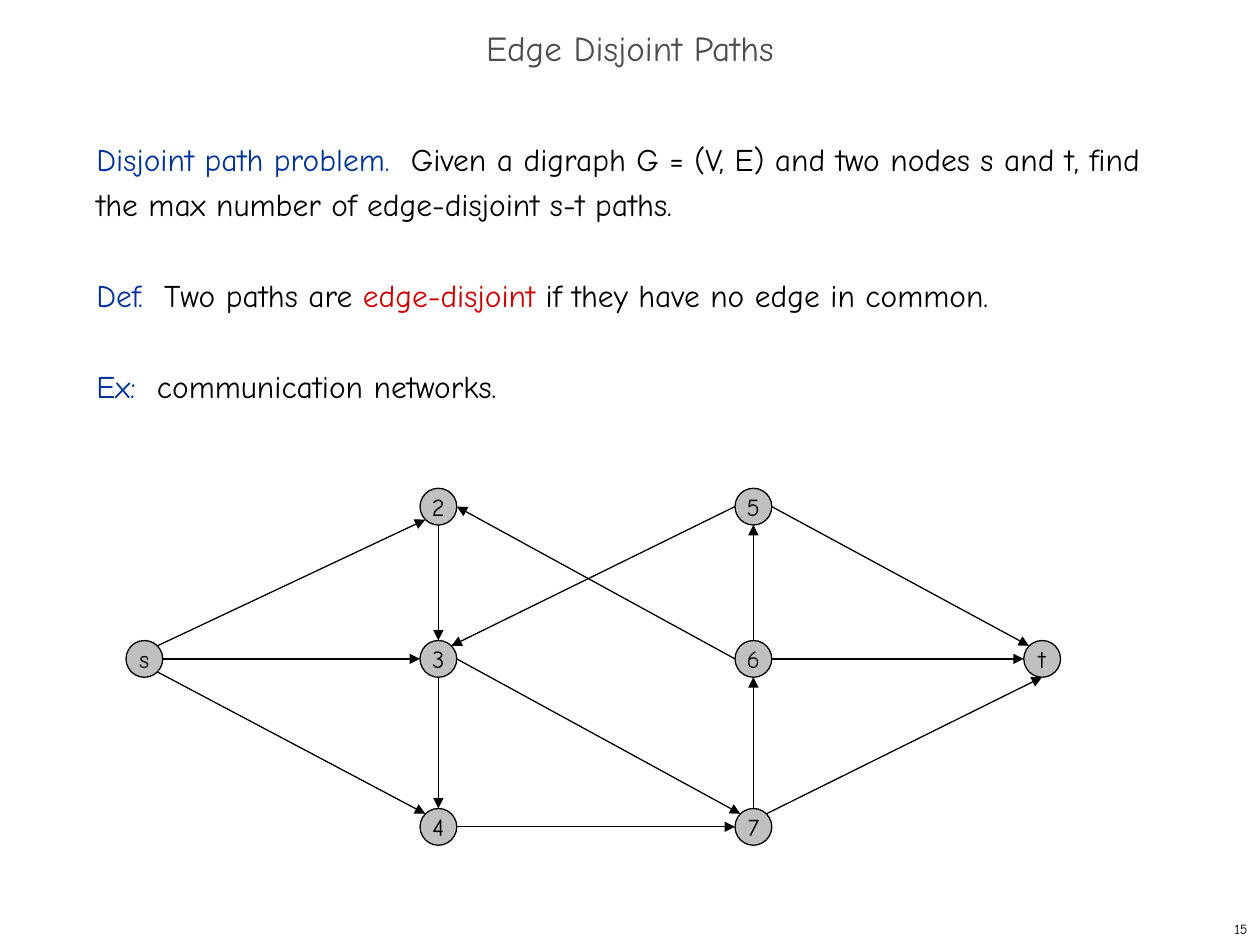
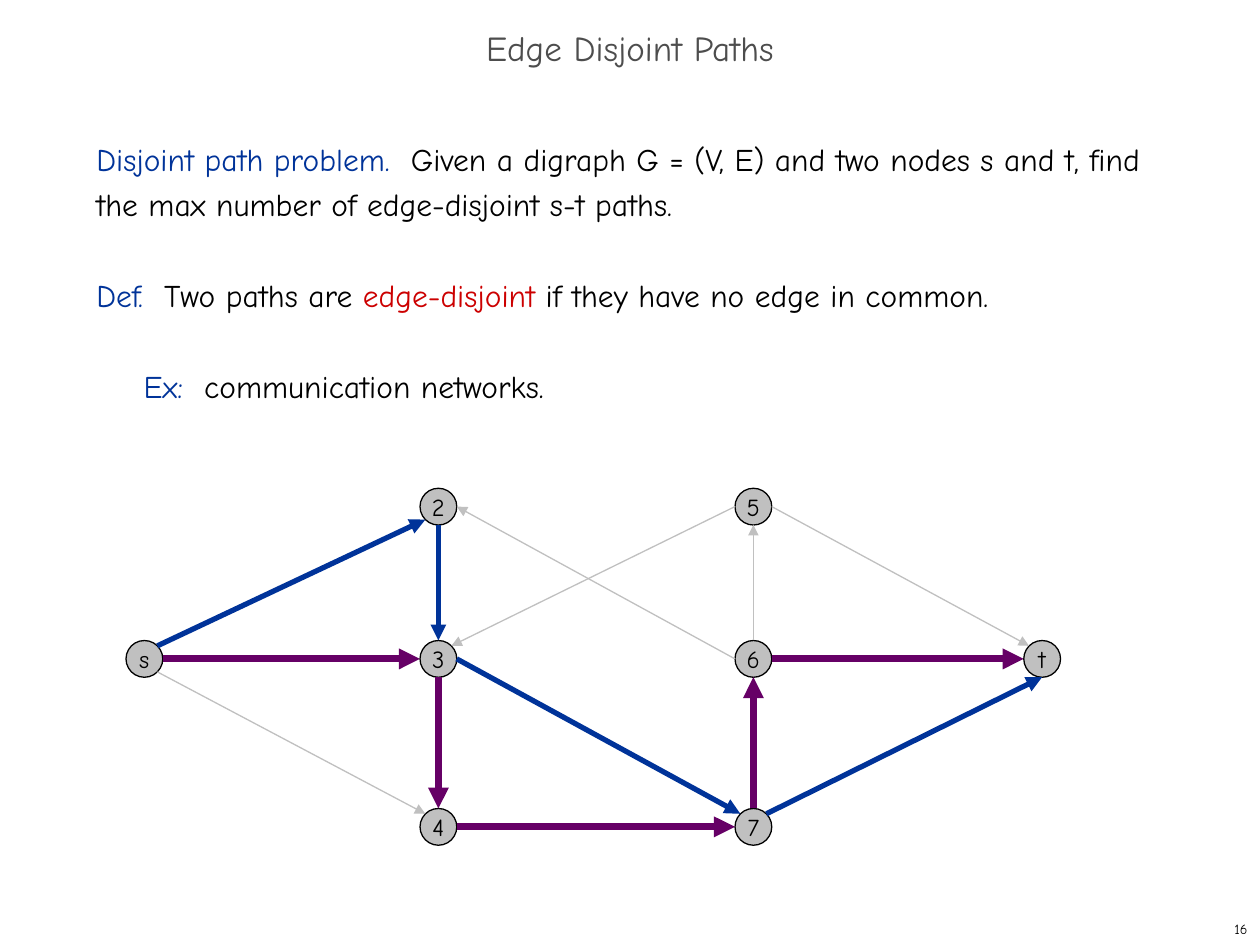
from dataclasses import dataclass

from lxml import etree
from pptx import Presentation
from pptx.dml.color import RGBColor
from pptx.enum.shapes import MSO_CONNECTOR, MSO_SHAPE
from pptx.enum.text import MSO_ANCHOR, PP_ALIGN
from pptx.oxml.ns import qn
from pptx.util import Inches, Pt

OVAL = MSO_SHAPE.OVAL
STRAIGHT = MSO_CONNECTOR.STRAIGHT
TOP, MIDDLE = MSO_ANCHOR.TOP, MSO_ANCHOR.MIDDLE
LEFT, CENTER, RIGHT = PP_ALIGN.LEFT, PP_ALIGN.CENTER, PP_ALIGN.RIGHT


@dataclass(frozen=True)
class Theme:
    font: str = "Comic Neue"
    ink: str = "000000"
    title: str = "4D4D4D"
    blue: str = "003399"
    red: str = "CC0000"
    violet: str = "660066"
    gray: str = "C0C0C0"
    head: int = 20
    body: int = 18
    node: int = 14
    foot: int = 8
    lead: int = 26
    thin: float = 0.75


theme = Theme()
deck = Presentation()
deck.slide_width, deck.slide_height = Inches(10), Inches(7.5)
cell = deck.slide_width // 240


def write(text, *, frame, size, color=theme.ink, align=LEFT, anchor=MIDDLE,
          wrap=False, lead=None, gap=0, indents=()):
    frame.word_wrap = wrap
    frame.vertical_anchor = anchor
    paras = [[(text, color)]] if isinstance(text, str) else text
    for i, runs in enumerate(paras):
        para = frame.add_paragraph() if i else frame.paragraphs[0]
        para.alignment = align
        if lead:
            para.line_spacing = lead
        if i and gap:
            para.space_before = Pt(gap)
        if i < len(indents) and indents[i]:
            para._p.get_or_add_pPr().set("marL", str(indents[i]))
        for words, tint in runs:
            run = para.add_run()
            run.text = words
            run.font.name = theme.font
            run.font.size = Pt(size)
            run.font.color.rgb = RGBColor.from_string(tint)


BODY = [
    [("Disjoint path problem.  ", theme.blue),
     ("Given a digraph G = (V, E) and two nodes s and t, find the max "
      "number of edge-disjoint s-t paths.", theme.ink)],
    [("Def.  ", theme.blue), ("Two paths are ", theme.ink),
     ("edge-disjoint", theme.red),
     (" if they have no edge in common.", theme.ink)],
    [("Ex:  ", theme.blue), ("communication networks.", theme.ink)],
]

SIZE = 7
COLS = [24, 80, 140, 195]
ROWS = [93, 122, 154]
NODES = {
    "s": (0, 1), "2": (1, 0), "3": (1, 1), "4": (1, 2),
    "5": (2, 0), "6": (2, 1), "7": (2, 2), "t": (3, 1),
}
SIDES = {
    "n": (0, -1), "s": (0, 1), "w": (-1, 0), "e": (1, 0),
    "nw": (-0.71, -0.71), "ne": (0.71, -0.71),
    "sw": (-0.71, 0.71), "se": (0.71, 0.71),
}
EDGES = [
    ("s", "ne", "2", "sw"), ("s", "e", "3", "w"), ("s", "se", "4", "nw"),
    ("2", "s", "3", "n"), ("3", "s", "4", "n"), ("3", "e", "7", "nw"),
    ("4", "e", "7", "w"), ("7", "n", "6", "s"), ("6", "n", "5", "s"),
    ("5", "e", "t", "nw"), ("6", "e", "t", "w"), ("7", "ne", "t", "s"),
    ("6", "w", "2", "e"), ("5", "w", "3", "ne"),
]
PATHS = {"s237t": (theme.blue, 3), "s3476t": (theme.violet, 4)}
SLIDES = [
    ("15", (theme.ink, theme.thin), {}, 0),
    ("16", (theme.gray, theme.thin), PATHS, 9 * cell),
]

for page, plain, paths, indent in SLIDES:
    slide = deck.slides.add_slide(deck.slide_layouts[6])
    shapes = slide.shapes

    title = shapes.add_textbox(0, 4 * cell, 240 * cell, 12 * cell)
    write("Edge Disjoint Paths", frame=title.text_frame, size=theme.head,
          color=theme.title, align=CENTER, wrap=True, lead=0.7)

    body = shapes.add_textbox(16 * cell, 24 * cell, 206 * cell, 142 * cell)
    write(BODY, frame=body.text_frame, size=theme.body, anchor=TOP, wrap=True,
          lead=Pt(theme.lead), gap=theme.lead, indents=(0, 0, indent))

    foot = shapes.add_textbox(190 * cell, 174 * cell, 50 * cell, 6 * cell)
    write(page, frame=foot.text_frame, size=theme.foot, align=RIGHT)

    for name, (col, row) in NODES.items():
        node = shapes.add_shape(OVAL, COLS[col] * cell, ROWS[row] * cell,
                                SIZE * cell, SIZE * cell)
        node.shadow.inherit = False
        node.fill.solid()
        node.fill.fore_color.rgb = RGBColor.from_string(theme.gray)
        node.line.color.rgb = RGBColor.from_string(theme.ink)
        node.line.width = Pt(theme.thin)
        write(name, frame=node.text_frame, size=theme.node, align=CENTER)

    for start, out, end, into in EDGES:
        ends = []
        for name, side in ((start, out), (end, into)):
            col, row = NODES[name]
            dx, dy = SIDES[side]
            ends += [round((COLS[col] + SIZE / 2 * (1 + dx)) * cell),
                     round((ROWS[row] + SIZE / 2 * (1 + dy)) * cell)]
        color, width = next(
            (style for path, style in paths.items() if start + end in path), plain)
        edge = shapes.add_connector(STRAIGHT, *ends)
        edge.line.color.rgb = RGBColor.from_string(color)
        edge.line.width = Pt(width)
        props = edge.element.spPr
        etree.SubElement(props.find(qn("a:ln")), qn("a:tailEnd"), type="triangle")
        etree.SubElement(props, qn("a:effectLst"))

deck.save("out.pptx")
